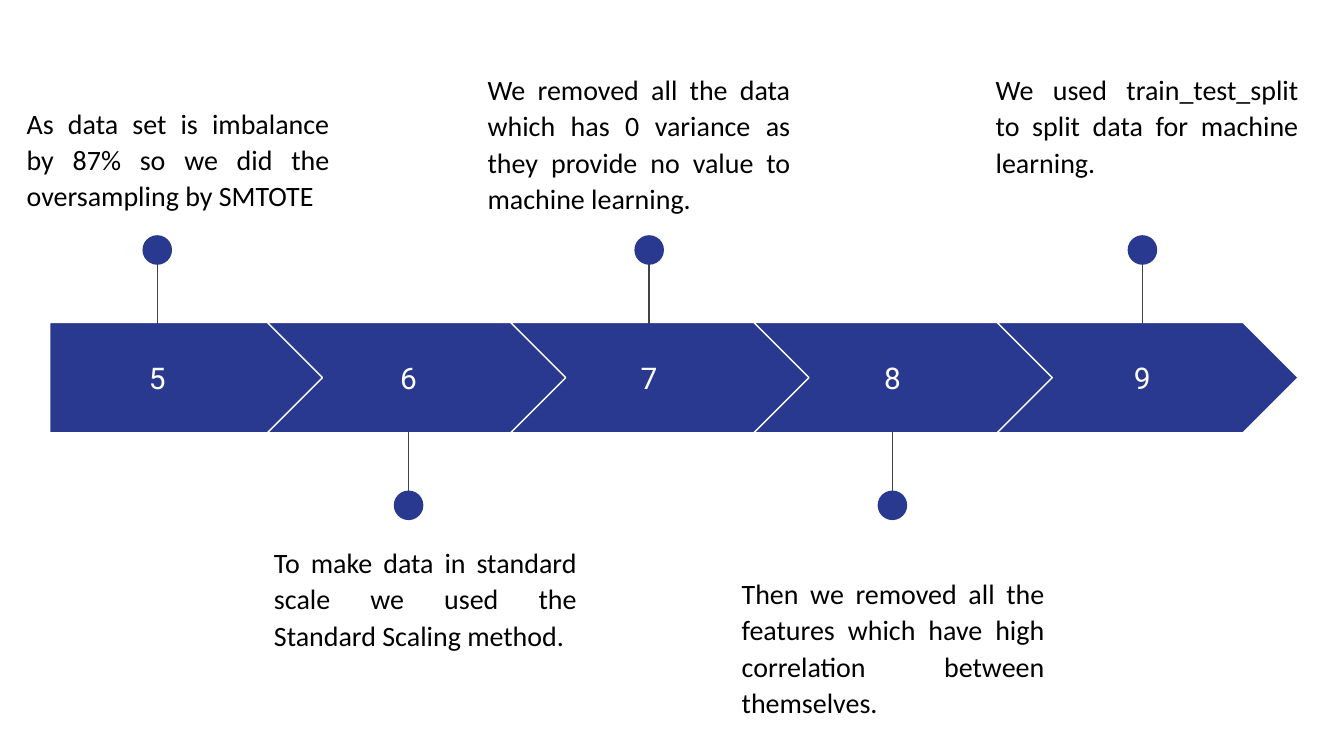
from lxml.etree import SubElement
from pptx import Presentation
from pptx.dml.color import RGBColor
from pptx.enum.shapes import MSO_CONNECTOR, MSO_SHAPE
from pptx.enum.text import MSO_ANCHOR, PP_ALIGN
from pptx.oxml.ns import qn
from pptx.util import Inches, Pt

# Content: number, pin x, note left, note top, note text
STEPS = [
    ("5", 1.17, 0.10, 0.67, "As data set is imbalance by 87% so we did the oversampling by SMTOTE"),
    ("6", 3.04, 1.94, 3.94, "To make data in standard scale we used the Standard Scaling method."),
    ("7", 4.83, 3.53, 0.42, "We removed all the data which has 0 variance as they provide no value "
                            "to machine learning."),
    ("8", 6.64, 5.42, 4.17, "Then we removed all the features which have high correlation "
                            "between themselves."),
    ("9", 8.50, 7.31, 0.42, "We used train_test_split to split data for machine learning."),
]

THEME = {
    "band": RGBColor(0x2A, 0x39, 0x90), "edge": RGBColor(255, 255, 255),
    "pin": RGBColor(0x43, 0x43, 0x43), "ink": RGBColor(0, 0, 0),
    "number_font": "Roboto", "number_size": 16,
    "note_font": "Calibri", "note_size": 15, "line": 0.75,
}

# Layout in inches, on a 16:9 slide
SLIDE_W = 10
SLIDE_H = SLIDE_W * 9 / 16
BAND_TOP, BAND_H = 2.4, 0.82
FIRST_LEFT, FIRST_W = 0.37, 2.05
CHEVRON_LEFT, CHEVRON_W, PITCH = 1.99, 2.24, 1.81
NUMBER_W, NUMBER_H = 1.44, 0.51
NOTE_W, NOTE_H = 2.45, 0.99
DOT, PIN = 0.22, 0.61
PIN_OVERLAP, DOT_INSET = 0.01, 0.06

prs = Presentation()
prs.slide_width, prs.slide_height = Inches(SLIDE_W), Inches(SLIDE_H)
s = prs.slides.add_slide(prs.slide_layouts[6])


def add_text(text, x, y, w, h, *, font, size, color, align, anchor=MSO_ANCHOR.TOP, spacing=None):
    tf = s.shapes.add_textbox(Inches(x), Inches(y), Inches(w), Inches(h)).text_frame
    tf.word_wrap = True
    tf.vertical_anchor = anchor
    tf.margin_left = tf.margin_right = tf.margin_top = tf.margin_bottom = Inches(0.1)
    p = tf.paragraphs[0]
    p.alignment, p.line_spacing = align, spacing
    r = p.add_run()
    r.text = text
    r.font.name, r.font.size = font, Pt(size)
    r.font.color.rgb = color


def add_shape(kind, x, y, w, h, edge=None):
    sp = s.shapes.add_shape(kind, Inches(x), Inches(y), Inches(w), Inches(h))
    sp.shadow.inherit = False
    sp.fill.solid()
    sp.fill.fore_color.rgb = THEME["band"]
    if edge is None:
        sp.line.fill.background()
    else:
        sp.line.color.rgb, sp.line.width = edge, Pt(THEME["line"])
    return sp


def add_pin(x, edge_y, direction):
    """Draw a pin from the band's edge; direction is -1 for up and 1 for down."""
    start = edge_y - direction * PIN_OVERLAP
    end = start + direction * PIN
    line = s.shapes.add_connector(MSO_CONNECTOR.STRAIGHT, Inches(x), Inches(end),
                                  Inches(x), Inches(start))
    line.line.color.rgb, line.line.width = THEME["pin"], Pt(THEME["line"])
    SubElement(line._element.spPr, qn("a:effectLst"))
    dot_y = end - direction * DOT_INSET
    add_shape(MSO_SHAPE.OVAL, x - DOT / 2, dot_y - DOT / 2, DOT, DOT)


for i, (number, x, note_x, note_y, note) in enumerate(STEPS):
    # Arrow segment
    if i == 0:
        kind, left, width = MSO_SHAPE.PENTAGON, FIRST_LEFT, FIRST_W
    else:
        kind, left, width = MSO_SHAPE.CHEVRON, CHEVRON_LEFT + (i - 1) * PITCH, CHEVRON_W
    arrow = add_shape(kind, left, BAND_TOP, width, BAND_H, THEME["edge"])
    arrow.adjustments[0] = 0.5

    # Step number
    add_text(number, x - NUMBER_W / 2, BAND_TOP + (BAND_H - NUMBER_H) / 2, NUMBER_W, NUMBER_H,
             font=THEME["number_font"], size=THEME["number_size"], color=THEME["edge"],
             align=PP_ALIGN.CENTER, anchor=MSO_ANCHOR.MIDDLE)

    # Pins alternate above and below the band
    if i % 2 == 0:
        add_pin(x, BAND_TOP, -1)
    else:
        add_pin(x, BAND_TOP + BAND_H, 1)

    # Note
    add_text(note, note_x, note_y, NOTE_W, NOTE_H, font=THEME["note_font"],
             size=THEME["note_size"], color=THEME["ink"], align=PP_ALIGN.JUSTIFY, spacing=1.08)

prs.save("out.pptx")
